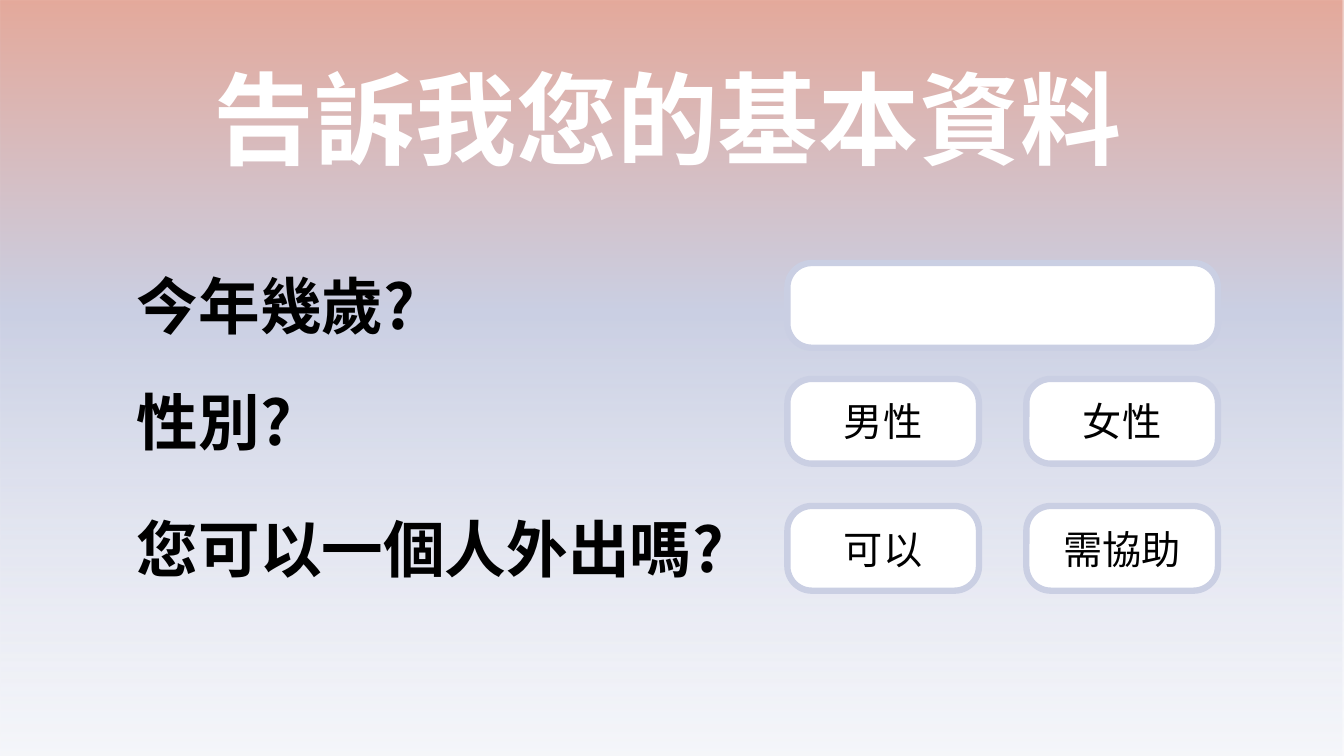
from dataclasses import dataclass

from lxml import etree
from pptx import Presentation
from pptx.dml.color import RGBColor
from pptx.enum import shapes, text
from pptx.oxml import parse_xml
from pptx.oxml.ns import nsdecls, qn
from pptx.util import Inches, Pt

TITLE = "告訴我您的基本資料"
# question, text width, row top, answers
QUESTIONS = [
    ("今年幾歲?", 2.96, 2.61, [""]),
    ("性別?", 1.73, 3.76, ["男性", "女性"]),
    ("您可以一個人外出嗎?", 6.05, 5.02, ["可以", "需協助"]),
]
# position %, colour, opacity %
BACKDROP_STOPS = [(0, "E4A99B", 100), (41, "CACFE3", 100), (100, "E3E6F1", 36)]

QUESTION_LEFT = 1.26
ANSWERS_LEFT, ANSWERS_WIDTH = 7.81, 4.27
ANSWER_GAP = 0.47
ROW_HEIGHT = 0.84


@dataclass(frozen=True)
class Theme:
    font: str = "Noto Sans CJK KR"
    white: str = "FFFFFF"
    ink: str = "000000"
    border: str = "CACFE3"
    title_size: int = 72
    question_size: int = 44
    answer_size: int = 28
    border_width: float = 4.5


THEME = Theme()


def write_text(shape, words, *, size, color=THEME.ink, bold=False, wrap=False,
               align=text.PP_ALIGN.LEFT, anchor=text.MSO_ANCHOR.TOP):
    frame = shape.text_frame
    frame.word_wrap = wrap
    frame.auto_size = text.MSO_AUTO_SIZE.NONE
    frame.vertical_anchor = anchor
    paragraph = frame.paragraphs[0]
    paragraph.alignment = align
    run = paragraph.add_run()
    run.text = words
    font = run.font
    font.size, font.bold, font.name = Pt(size), bold, THEME.font
    font.color.rgb = RGBColor.from_string(color)
    east_asian = etree.SubElement(run._r.get_or_add_rPr(), qn("a:ea"))
    east_asian.set("typeface", THEME.font)


def add_backdrop(slide, width, height):
    """Cover the slide with a vertical gradient, behind everything else."""
    backdrop = slide.shapes.add_shape(shapes.MSO_SHAPE.RECTANGLE, 0, 0, width, height)
    backdrop.shadow.inherit = False
    backdrop.line.fill.background()
    stops = "".join(
        f'<a:gs pos="{position * 1000}"><a:srgbClr val="{color}">'
        f'<a:alpha val="{opacity * 1000}"/></a:srgbClr></a:gs>'
        for position, color, opacity in BACKDROP_STOPS)
    gradient = parse_xml(
        f'<a:gradFill {nsdecls("a")} rotWithShape="1"><a:gsLst>{stops}</a:gsLst>'
        '<a:lin ang="5400000" scaled="0"/></a:gradFill>')
    backdrop._element.spPr.find(qn("a:prstGeom")).addnext(gradient)
    slide.shapes._spTree.insert(2, backdrop._element)


def add_answer(slide, words, left, top, width):
    box = slide.shapes.add_shape(
        shapes.MSO_SHAPE.ROUNDED_RECTANGLE,
        Inches(left), Inches(top), Inches(width), Inches(ROW_HEIGHT))
    box.adjustments[0] = 0.288
    box.shadow.inherit = False
    box.fill.solid()
    box.fill.fore_color.rgb = RGBColor.from_string(THEME.white)
    box.line.color.rgb = RGBColor.from_string(THEME.border)
    box.line.width = Pt(THEME.border_width)
    if words:
        write_text(box, words, size=THEME.answer_size, wrap=True,
                   align=text.PP_ALIGN.CENTER, anchor=text.MSO_ANCHOR.MIDDLE)


def add_question(slide, question, width, top, answers):
    label = slide.shapes.add_textbox(
        Inches(QUESTION_LEFT), Inches(top), Inches(width), Inches(ROW_HEIGHT))
    write_text(label, question, size=THEME.question_size, bold=True)
    count = len(answers)
    answer_width = (ANSWERS_WIDTH - ANSWER_GAP * (count - 1)) / count
    for column, answer in enumerate(answers):
        left = ANSWERS_LEFT + column * (answer_width + ANSWER_GAP)
        add_answer(slide, answer, left, top, answer_width)


def main():
    presentation = Presentation()
    presentation.slide_width = Inches(13.33)
    presentation.slide_height = Inches(7.5)
    slide = presentation.slides.add_slide(presentation.slide_layouts[5])
    add_backdrop(slide, presentation.slide_width, presentation.slide_height)

    title = slide.shapes.title
    title.left, title.top = Inches(2.02), Inches(0.51)
    title.width, title.height = Inches(9.29), Inches(1.31)
    write_text(title, TITLE, size=THEME.title_size, color=THEME.white, bold=True)

    for row in QUESTIONS:
        add_question(slide, *row)
    presentation.save("out.pptx")


if __name__ == "__main__":
    main()
